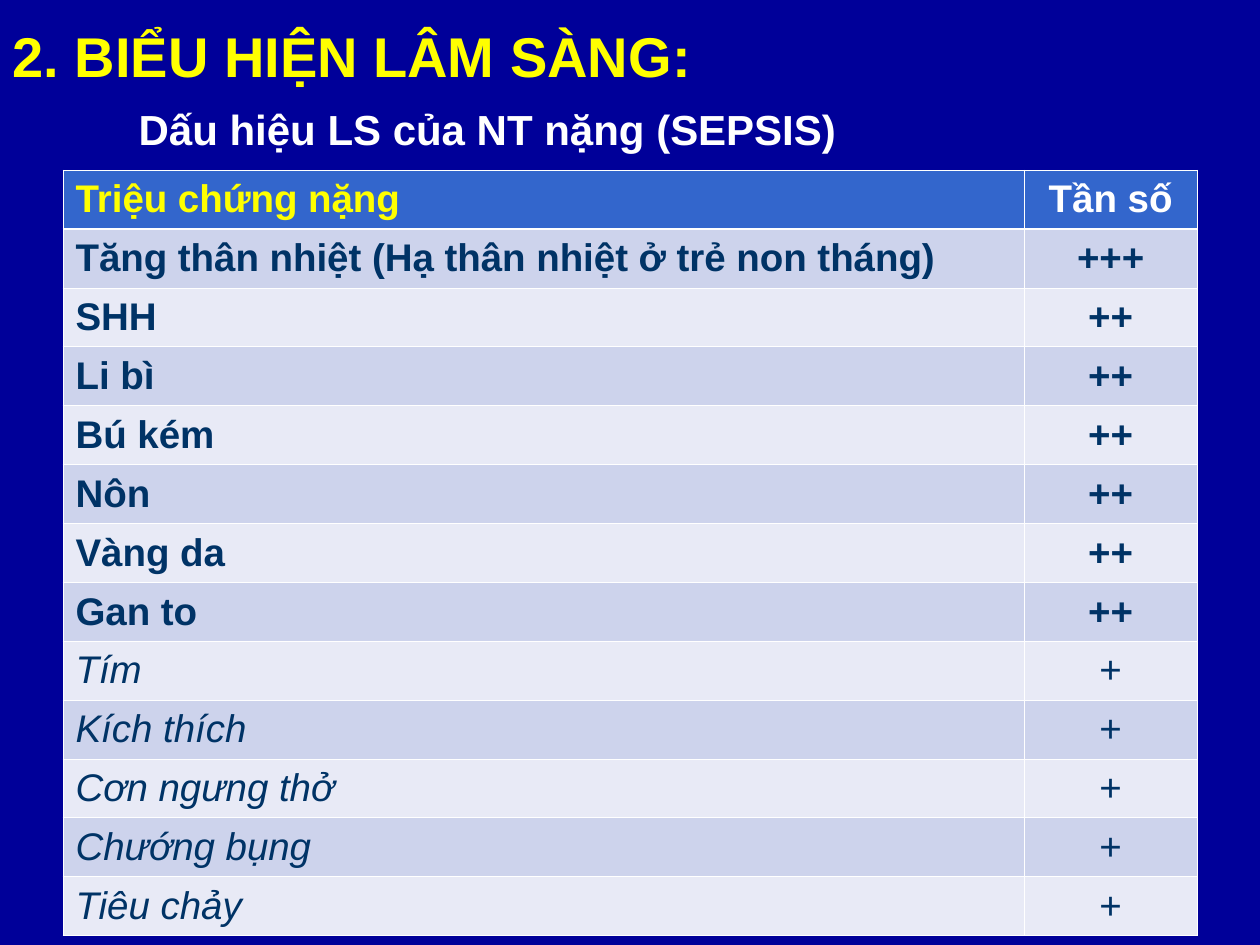
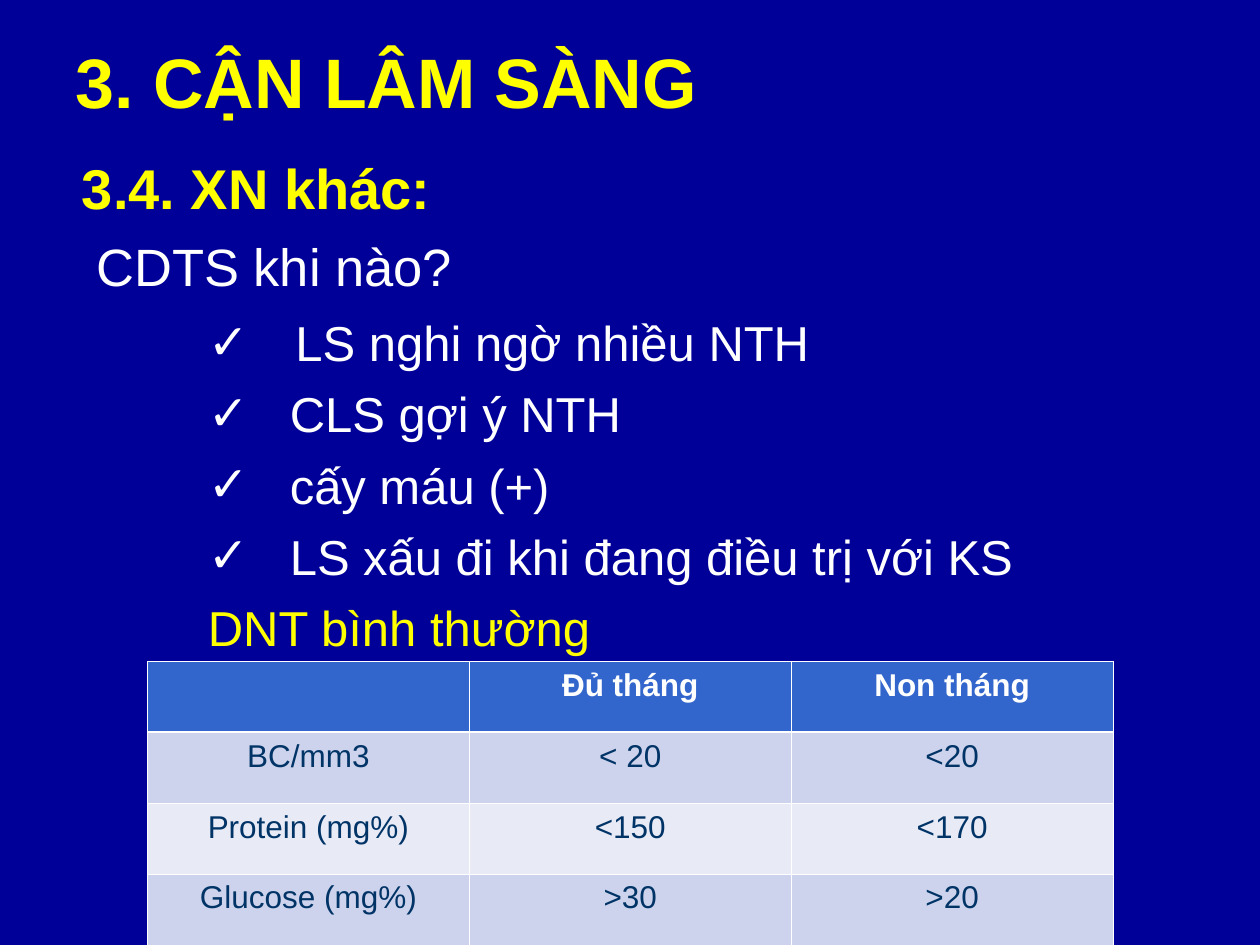
from lxml.etree import SubElement
from pptx import Presentation
from pptx.dml.color import RGBColor
from pptx.enum.text import MSO_ANCHOR as Anchor, MSO_AUTO_SIZE as AutoSize, PP_ALIGN as Align
from pptx.oxml import parse_xml
from pptx.oxml.ns import nsdecls, qn
from pptx.util import Inches, Pt

COLORS = {
    "navy": "000099", "yellow": "FFFF00", "white": "FFFFFF", "ink": "003366",
    "header": "3366CC", "odd_row": "CDD3EC", "even_row": "E8EAF6",
}
FONT = "Arial"
COLUMNS, ROWS = 40, 30
THIN, THICK = 0.45, 1.47


def rgb(name):
    return RGBColor.from_string(COLORS[name])


class SlideBuilder:
    """Shared style, the current slide, and a 40 x 30 grid for all lengths."""

    def __init__(self):
        self.deck = Presentation()
        self.deck.slide_width, self.deck.slide_height = Inches(10), Inches(7.5)
        self.column = self.deck.slide_width / COLUMNS
        self.row = self.deck.slide_height / ROWS
        background = self.deck.slide_master.background.fill
        background.solid()
        background.fore_color.rgb = rgb("navy")
        self.slide = None

    def new_slide(self, layout):
        self.slide = self.deck.slides.add_slide(self.deck.slide_layouts[layout])

    def place(self, left, top, width, height):
        return (round(left * self.column), round(top * self.row),
                round(width * self.column), round(height * self.row))

    def frame(self, box, area):
        box.left, box.top, box.width, box.height = self.place(*area)
        frame = box.text_frame
        frame.word_wrap = True
        frame.auto_size = AutoSize.NONE
        return frame

    def span(self, para, text, size, color, bold=False, italic=False):
        span = para.add_run()
        span.text = text
        font = span.font
        font.name, font.size = FONT, Pt(size)
        font.bold, font.italic = bold, italic
        font.color.rgb = rgb(color)

    def indent(self, para, margin, first=0):
        properties = para._p.get_or_add_pPr()
        properties.set("marL", str(round(margin * self.column)))
        properties.set("indent", str(round(first * self.column)))
        return properties

    def title(self, text, size, area, subtitle=None):
        frame = self.frame(self.slide.shapes.title, area)
        frame.vertical_anchor = Anchor.MIDDLE
        para = frame.paragraphs[0]
        para.alignment = Align.LEFT
        self.span(para, text, size, "yellow", bold=True)
        if subtitle:
            para = frame.add_paragraph()
            para.alignment = Align.LEFT
            para.space_before = Pt(8.5)
            self.indent(para, 4)
            self.span(para, subtitle, 24, "white", bold=True)

    def body(self, lines, area):
        """Each line: text, size, color, bold, space before, margin, hanging part (0 = no bullet)."""
        frame = self.frame(self.slide.placeholders[1], area)
        for index, (text, size, color, bold, space, margin, hanging) in enumerate(lines):
            para = frame.add_paragraph() if index else frame.paragraphs[0]
            para.space_before = Pt(space)
            properties = self.indent(para, margin, -hanging)
            if hanging:
                SubElement(properties, qn("a:buFont"), typeface=FONT)
                SubElement(properties, qn("a:buChar"), char="✓")
            else:
                SubElement(properties, qn("a:buNone"))
            self.span(para, text, size, color, bold)

    def borders(self, cell, top, bottom):
        properties = cell._tc.get_or_add_tcPr()
        for side, width in (("L", THIN), ("R", THIN), ("T", top), ("B", bottom)):
            properties.append(parse_xml(
                f'<a:ln{side} {nsdecls("a")} w="{Pt(width)}"><a:solidFill>'
                f'<a:srgbClr val="{COLORS["white"]}"/></a:solidFill></a:ln{side}>'))

    def table(self, rows, area, widths, row_height, style, anchor=Anchor.TOP):
        """style(row, column) gives the font options and alignment of a cell."""
        left, top, width, height = self.place(*area, sum(widths), row_height * len(rows))
        table = self.slide.shapes.add_table(len(rows), len(widths), left, top, width, height).table
        for column, share in zip(table.columns, widths):
            column.width = round(share * self.column)
        for r, texts in enumerate(rows):
            table.rows[r].height = round(row_height * self.row)
            for c, text in enumerate(texts):
                cell = table.cell(r, c)
                self.borders(cell, THICK if r == 1 else THIN, THICK if r == 0 else THIN)
                cell.fill.solid()
                cell.fill.fore_color.rgb = rgb(
                    "header" if r == 0 else "odd_row" if r % 2 else "even_row")
                cell.vertical_anchor = anchor
                options, align = style(r, c)
                para = cell.text_frame.paragraphs[0]
                para.alignment = align
                if text:
                    self.span(para, text, **options)


SYMPTOMS = [
    ("Triệu chứng nặng", "Tần số"),
    ("Tăng thân nhiệt (Hạ thân nhiệt ở trẻ non tháng)", "+++"),
    *((sign, "++") for sign in ("SHH", "Li bì", "Bú kém", "Nôn", "Vàng da", "Gan to")),
    *((sign, "+") for sign in ("Tím", "Kích thích", "Cơn ngưng thở", "Chướng bụng", "Tiêu chảy")),
]
FLUID_VALUES = [
    ("", "Đủ tháng", "Non tháng"),
    ("BC/mm3", "< 20", "<20"),
    ("Protein (mg%)", "<150", "<170"),
    ("Glucose (mg%)", ">30", ">20"),
]
PUNCTURE_REASONS = [
    "CLS gợi ý NTH", "cấy máu (+)", "LS xấu đi khi đang điều trị với KS",
]


def symptom_style(row, column):
    rare = SYMPTOMS[row][1] == "+"
    color = "ink" if row else "white" if column else "yellow"
    options = dict(size=22, color=color, bold=not rare, italic=rare and column == 0)
    return options, Align.CENTER if column else Align.LEFT


def fluid_style(row, column):
    return dict(size=18, color="ink" if row else "white", bold=row == 0), Align.CENTER


def clinical_signs(builder):
    builder.new_slide(5)
    builder.title("2. BIỂU HIỆN LÂM SÀNG:", 32, (0, 1.28, 40, 3),
                  "Dấu hiệu LS của NT nặng (SEPSIS)")
    builder.table(SYMPTOMS, (2, 5.4), (30.52, 5.48), 1.87, symptom_style, Anchor.MIDDLE)


def laboratory_tests(builder):
    builder.new_slide(1)
    builder.title("3. CẬN LÂM SÀNG", 40, (2, -0.1, 36, 5.32))
    builder.body([
        ("3.4. XN khác:", 32, "yellow", True, 0, 0, 0),
        ("CDTS khi nào?", 30, "white", False, 7.5, 0.46, 0),
        ("LS nghi ngờ nhiều NTH", 28, "white", False, 9, 6.78, 2.78),
        *((reason, 28, "white", False, 7, 6.6, 2.6) for reason in PUNCTURE_REASONS),
        ("DNT bình thường", 28, "yellow", False, 7, 4, 0),
    ], (2.2, 4.68, 36.7, 23.6))
    builder.table(FLUID_VALUES, (4.68, 21), (10.22,) * 3, 2.25, fluid_style)


def main():
    builder = SlideBuilder()
    clinical_signs(builder)
    laboratory_tests(builder)
    builder.deck.save("out.pptx")


if __name__ == "__main__":
    main()
